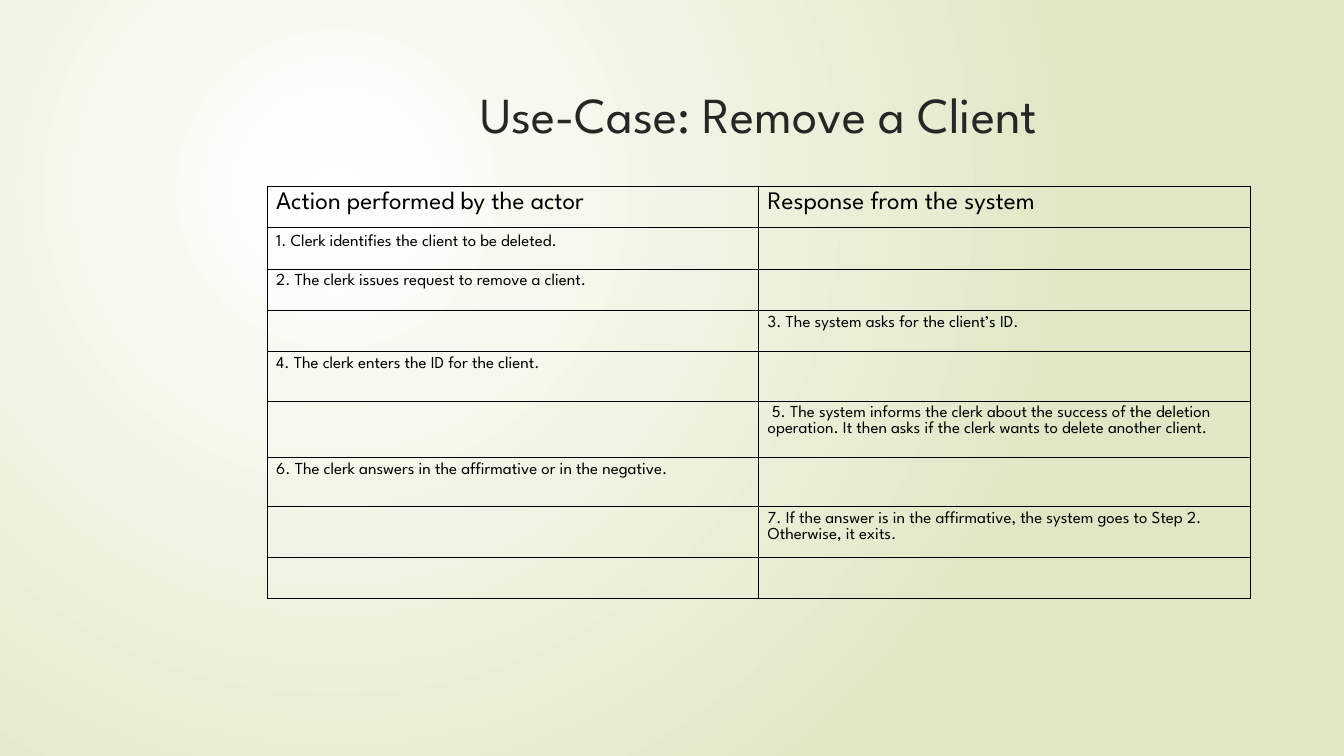
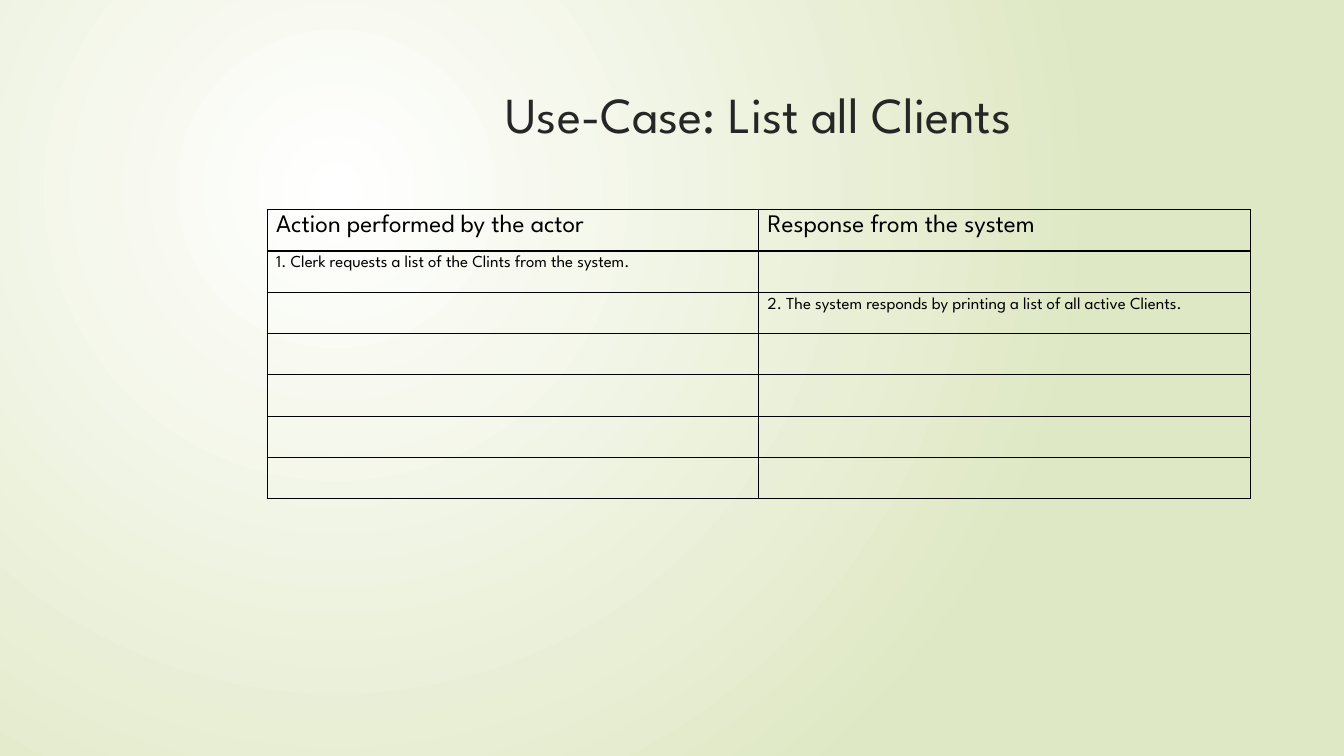
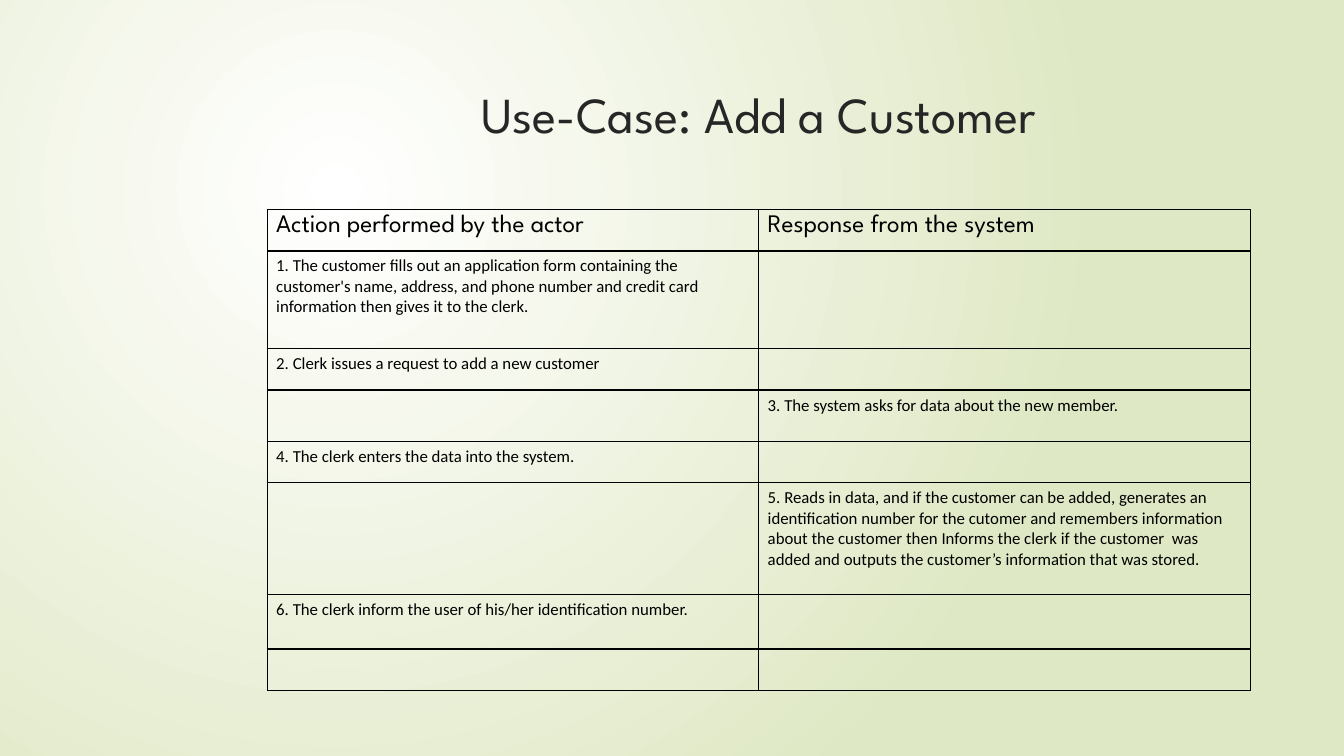
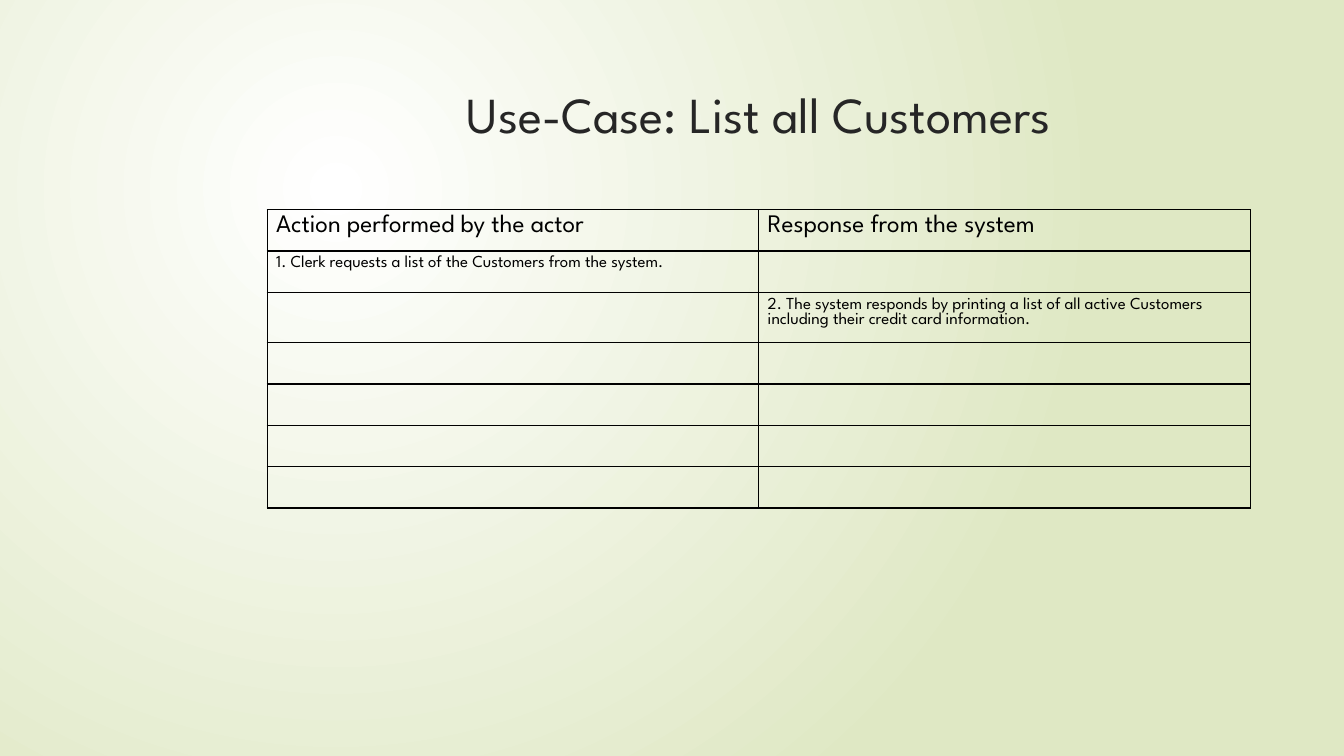
"""Build four use-case slides, each with a two-column table of actor and system steps."""
import pptx
import pptx.dml.color
import pptx.enum.text
import pptx.oxml
import pptx.oxml.ns
import pptx.util
from pptx.util import Inches

COLORS = {"glow": "FFFFFF", "backdrop": "DFE8C4", "title": "262626", "ink": "000000"}
HEADING_FONT = "League Spartan"
HEADERS = ("Action performed by the actor", "Response from the system")
ACTOR, SYSTEM = 0, 1
LEFT, WIDTH = 2.65, 9.75
ROW_HEIGHT = 0.41
BORDER_POINTS = 1

USE_CASES = [
    {
        "title": "Use-Case: Remove a Client",
        "top": 1.85,
        "first_spacing": 1.15,
        "steps": [
            (ACTOR, "1. Clerk identifies the client to be deleted."),
            (ACTOR, "2. The clerk issues request to remove a client."),
            (SYSTEM, "3. The system asks for the client’s ID."),
            (ACTOR, "4. The clerk enters the ID for the client.", 0.49),
            (SYSTEM, " 5. The system informs the clerk about the success of the deletion "
                     "operation. It then asks if the clerk wants to delete another client.", 0.56),
            (ACTOR, "6. The clerk answers in the affirmative or in the negative.", 0.49),
            (SYSTEM, "7. If the answer is in the affirmative, the system goes to Step 2. "
                     "Otherwise, it exits."),
        ],
        "spare_rows": 1,
    },
    {
        "title": "Use-Case: List all Clients",
        "steps": [
            (ACTOR, "1. Clerk requests a list of the Clints from the system."),
            (SYSTEM, "2. The system responds by printing a list of all active Clients."),
        ],
        "spare_rows": 4,
    },
    {
        "title": "Use-Case: Add a Customer",
        "step_font": "Calibri",
        "steps": [
            (ACTOR, "1. The customer fills out an application form containing the customer's "
                    "name, address, and phone number and credit card information then gives "
                    "it to the clerk.", 0.97),
            (ACTOR, "2. Clerk issues a request to add a new customer"),
            (SYSTEM, "3. The system asks for data about the new member.", 0.51),
            (ACTOR, "4. The clerk enters the data into the system."),
            (SYSTEM, "5. Reads in data, and if the customer can be added, generates an "
                     "identification number for the cutomer and remembers information about "
                     "the customer then Informs the clerk if the customer  was added and "
                     "outputs the customer’s information that was stored.", 1.11),
            (ACTOR, "6. The clerk inform the user of his/her identification number.", 0.54),
        ],
        "spare_rows": 1,
    },
    {
        "title": "Use-Case: List all Customers",
        "steps": [
            (ACTOR, "1. Clerk requests a list of the Customers from the system."),
            (SYSTEM, "2. The system responds by printing a list of all active Customers "
                     "including their credit card information."),
        ],
        "spare_rows": 4,
    },
]


def rgb(name):
    return pptx.dml.color.RGBColor.from_string(COLORS[name])


def write(frame, text, size=12, font=HEADING_FONT, color="ink", align=None, spacing=None):
    paragraph = frame.paragraphs[0]
    paragraph.alignment = align
    paragraph.line_spacing = spacing
    run = paragraph.add_run()
    run.text = text
    run.font.size = pptx.util.Pt(size)
    run.font.name = font
    run.font.color.rgb = rgb(color)


def paint_backdrop(master):
    fill = master.background.fill
    fill.gradient()
    for stop, name in zip(fill.gradient_stops, ("glow", "backdrop")):
        stop.color.rgb = rgb(name)
    gradient = master.element.xpath("./p:cSld/p:bg//a:gradFill")[0]
    direction = gradient.xpath("./a:lin")[0]
    gradient.replace(direction, pptx.oxml.parse_xml(
        f'<a:path {pptx.oxml.ns.nsdecls("a")} path="circle">'
        '<a:fillToRect l="50000" t="50000" r="100000" b="100000"/></a:path>'))


def style_cell(cell):
    cell.margin_left = cell.margin_right = Inches(0.09)
    cell.margin_top = cell.margin_bottom = Inches(0.05)
    properties = cell._tc.get_or_add_tcPr()
    for side in "LRTB":
        properties.append(pptx.oxml.parse_xml(
            f'<a:ln{side} {pptx.oxml.ns.nsdecls("a")} w="{pptx.util.Pt(BORDER_POINTS)}">'
            f'<a:solidFill><a:srgbClr val="{COLORS["ink"]}"/></a:solidFill></a:ln{side}>'))
    cell.fill.background()


def add_title(slide, text):
    frame = slide.shapes.add_textbox(
        Inches(LEFT), Inches(0.7), Inches(WIDTH), Inches(0.84)).text_frame
    frame.word_wrap = True
    frame.vertical_anchor = pptx.enum.text.MSO_ANCHOR.MIDDLE
    write(frame, text, size=36, color="title", align=pptx.enum.text.PP_ALIGN.CENTER)


def add_steps(slide, case):
    steps = case["steps"]
    heights = [ROW_HEIGHT]
    heights += [step[2] if len(step) > 2 else ROW_HEIGHT for step in steps]
    heights += [ROW_HEIGHT] * case["spare_rows"]
    table = slide.shapes.add_table(
        len(heights), len(HEADERS), Inches(LEFT), Inches(case.get("top", 2.08)),
        Inches(WIDTH), Inches(sum(heights))).table
    table.first_row = table.horz_banding = False
    for row, height in zip(table.rows, heights):
        row.height = Inches(height)
    for cell in table.iter_cells():
        style_cell(cell)
    for column, header in enumerate(HEADERS):
        write(table.cell(0, column).text_frame, header, size=18)
    for row, (column, text, *_) in enumerate(steps, 1):
        write(table.cell(row, column).text_frame, text,
              font=case.get("step_font", HEADING_FONT),
              spacing=case.get("first_spacing") if row == 1 else None)


def main():
    deck = pptx.Presentation()
    deck.slide_width, deck.slide_height = Inches(13.33), Inches(7.5)
    paint_backdrop(deck.slide_master)
    for case in USE_CASES:
        slide = deck.slides.add_slide(deck.slide_layouts[6])
        add_title(slide, case["title"])
        add_steps(slide, case)
    deck.save("out.pptx")


if __name__ == "__main__":
    main()
